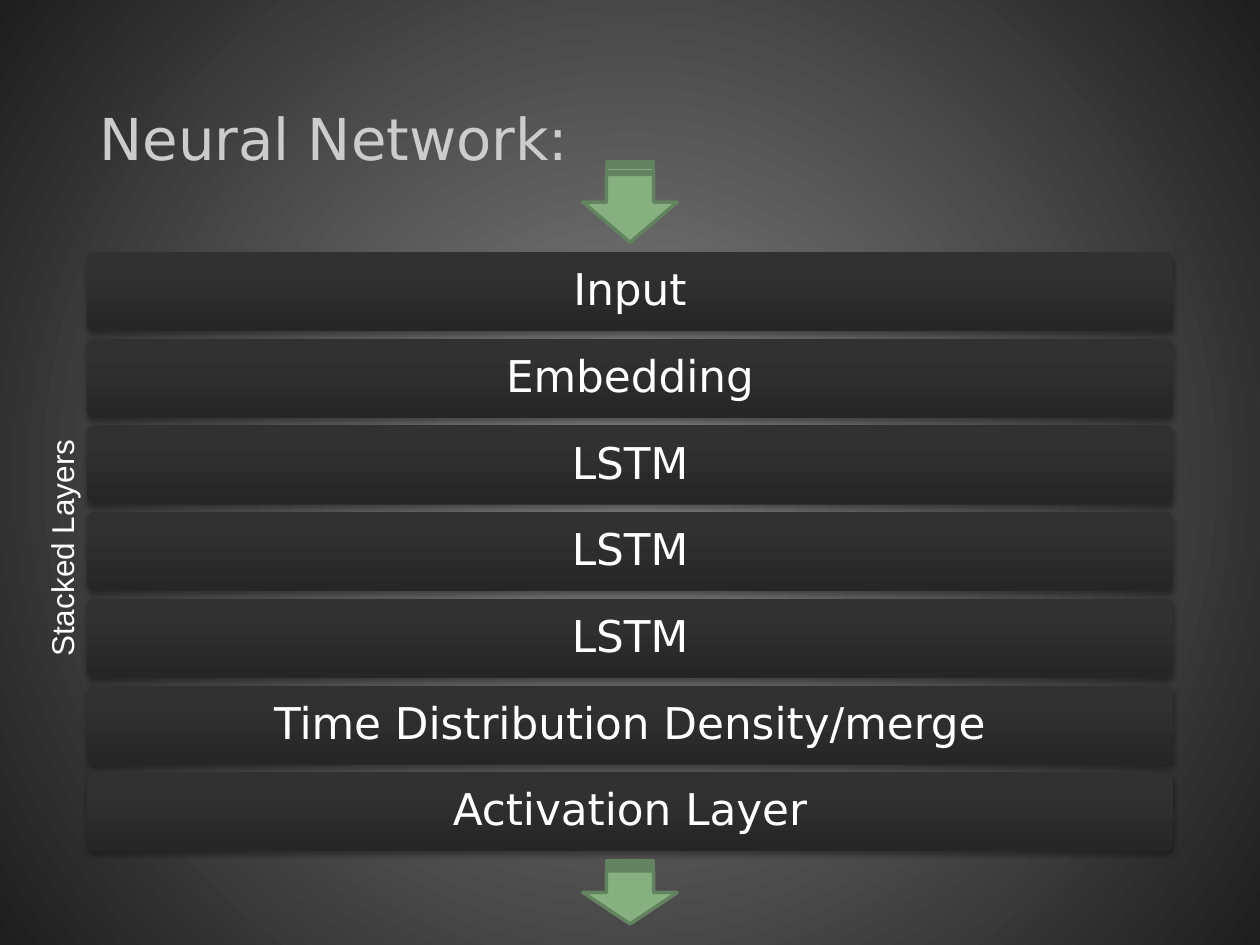
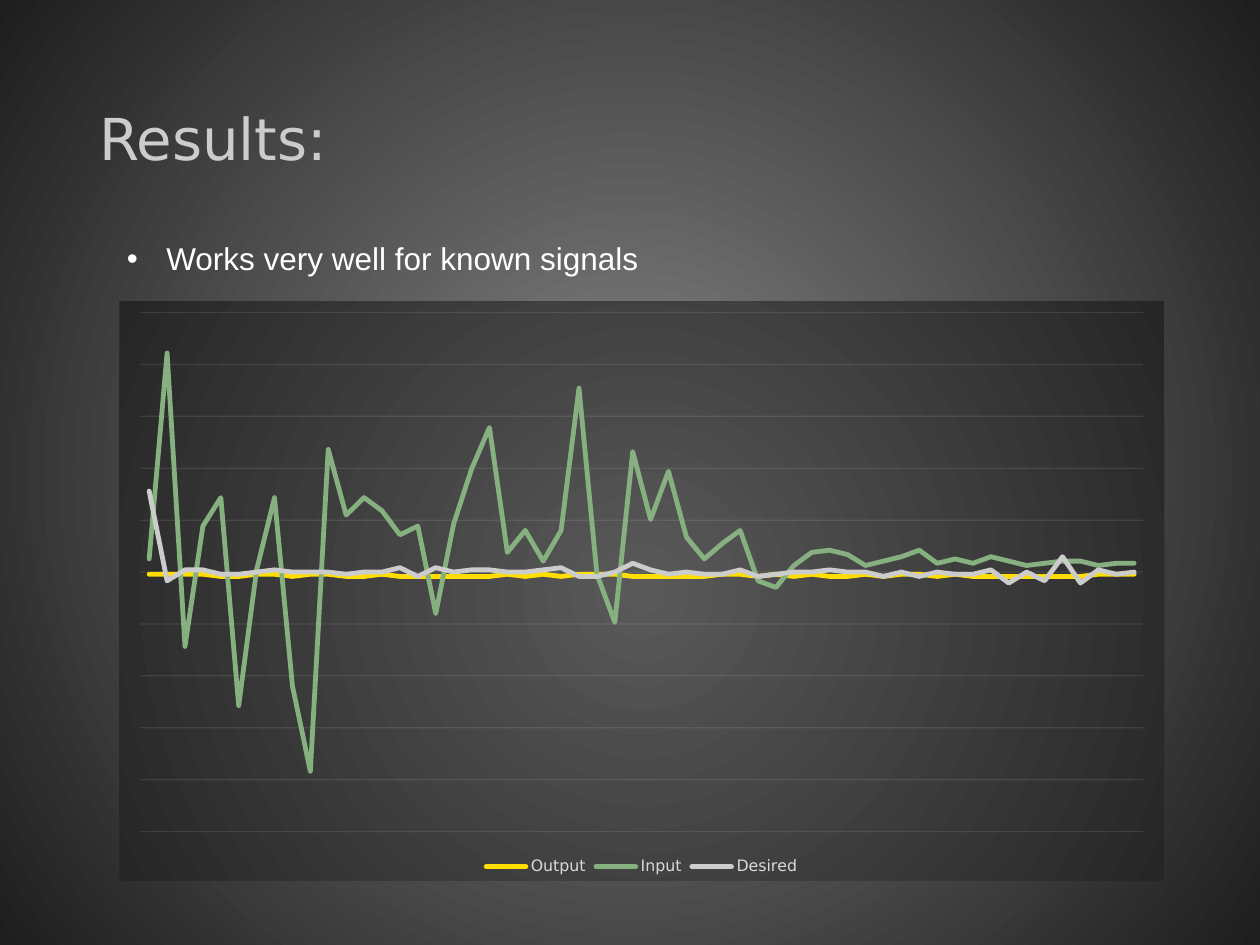
from lxml import etree
from pptx import Presentation
from pptx.chart.data import CategoryChartData
from pptx.dml.color import RGBColor
from pptx.enum.chart import XL_CHART_TYPE, XL_LEGEND_POSITION
from pptx.enum.shapes import MSO_SHAPE
from pptx.enum.text import MSO_ANCHOR, MSO_AUTO_SIZE, PP_ALIGN
from pptx.oxml import parse_xml
from pptx.oxml.ns import qn
from pptx.util import Pt

LINE_CHART = XL_CHART_TYPE.LINE
LEGEND_BOTTOM = XL_LEGEND_POSITION.BOTTOM
ROUNDED = MSO_SHAPE.ROUNDED_RECTANGLE
STRIPED_ARROW = MSO_SHAPE.STRIPED_RIGHT_ARROW
MIDDLE = MSO_ANCHOR.MIDDLE
TOP = MSO_ANCHOR.TOP
FIT_SHAPE = MSO_AUTO_SIZE.SHAPE_TO_FIT_TEXT
LEFT, CENTER = PP_ALIGN.LEFT, PP_ALIGN.CENTER

COLORS = {
    "white": "FFFFFF", "title": "CCCCCC", "legend": "D9D9D9", "grid": "F2F2F2",
    "green": "86B080", "green edge": "63825F", "yellow": "FFDE00",
    "page center": "848484", "page edge": "1E1E1E",
    "bar bottom": "262626", "bar middle": "313131", "bar top": "323232",
    "chart center": "595959", "chart edge": "262626",
}
HEADING_FONT, BODY_FONT = "DejaVu Sans", "Arial"
DRAWING = "http://schemas.openxmlformats.org/drawingml/2006/main"
CHART = "http://schemas.openxmlformats.org/drawingml/2006/chart"
RADIAL = ('<a:path path="circle"><a:fillToRect l="50000" t="50000" '
          'r="50000" b="50000"/></a:path>')
UPWARD = '<a:lin ang="16200000" scaled="0"/>'

# Slide content
LAYERS = ["Input", "Embedding", "LSTM", "LSTM", "LSTM",
          "Time Distribution Density/merge", "Activation Layer"]
SIGNALS = [
    ("Output", "yellow",
     [-1, -1, -1, -1, -2, -2, -1, -1, -2, -1, -1, -2, -2, -1, -2, -2, -2, -2, -2,
      -2, -1, -2, -1, -2, -1, -1, -1, -2, -2, -2, -2, -2, -1, -1, -2, -1, -2, -1,
      -2, -2, -1, -2, -1, -1, -2, -1, -2, -2, -2, -2, -2, -2, -2, -1, -1, -1]),
    ("Input", "green",
     [6, 100, -34, 21, 34, -61, 1, 34, -52, -91, 56, 26, 34, 28, 17, 21, -19, 22,
      47, 66, 9, 19, 5, 19, 84, -1, -23, 55, 24, 46, 16, 6, 13, 19, -4, -7, 3, 9,
      10, 8, 3, 5, 7, 10, 4, 6, 4, 7, 5, 3, 4, 5, 5, 3, 4, 4]),
    ("Desired", "title",
     [37, -4, 1, 1, -1, -1, 0, 1, 0, 0, 0, -1, 0, 0, 2, -2, 2, 0, 1, 1, 0, 0, 1,
      2, -2, -2, 0, 4, 1, -1, 0, -1, -1, 1, -2, -1, 0, 0, 1, 0, 0, -2, 0, -2, 0,
      -1, -1, 1, -5, 0, -4, 7, -5, 1, -1, 0]),
]


def color(name):
    return RGBColor.from_string(COLORS[name])


def gradient(stops, direction):
    """Return a gradient fill; stops are (percent, color name) pairs."""
    marks = "".join(f'<a:gs pos="{percent * 1000}"><a:srgbClr val="{COLORS[name]}"/></a:gs>'
                    for percent, name in stops)
    return parse_xml(f'<a:gradFill xmlns:a="{DRAWING}" rotWithShape="1">'
                     f'<a:gsLst>{marks}</a:gsLst>{direction}</a:gradFill>')


def write_text(frame, text, size=18, font=BODY_FONT, tint="white", align=LEFT,
               anchor=TOP, spacing=None, wrap=True, bullet=None):
    """Write one paragraph; bullet is (symbol, margin, hanging) in points."""
    frame.word_wrap = wrap
    frame.vertical_anchor = anchor
    para = frame.paragraphs[0]
    para.alignment = align
    if spacing:
        para.line_spacing = spacing
    span = para.add_run()
    span.text = text
    span.font.size, span.font.name = Pt(size), font
    span.font.color.rgb = color(tint)
    if bullet:
        symbol, margin, hanging = bullet
        para.level = 1
        properties = para._p.get_or_add_pPr()
        properties.set("marL", str(Pt(margin)))
        properties.set("indent", str(-Pt(hanging)))
        etree.SubElement(properties, qn("a:buFont")).set("typeface", BODY_FONT)
        etree.SubElement(properties, qn("a:buChar")).set("char", symbol)


class SlideWriter:
    """Holds the shared style and the page being filled."""

    def __init__(self):
        self.deck = Presentation()
        self.deck.slide_width, self.deck.slide_height = Pt(720), Pt(540)
        self.page = None
        # Radial background shared by all pages
        master = self.deck.slide_master
        master.background.fill.solid()
        solid = master.element.find(".//" + qn("p:bgPr")).find(qn("a:solidFill"))
        solid.getparent().replace(
            solid, gradient([(0, "page center"), (100, "page edge")], RADIAL))

    def start_page(self, title):
        self.page = self.deck.slides.add_slide(self.deck.slide_layouts[6])
        self.text(title, 49.7, 28.8, 620.6, 104.4, size=33, font=HEADING_FONT,
                  tint="title", anchor=MIDDLE, spacing=0.9)

    def text(self, text, left, top, width, height, rotation=0, grow=False, **style):
        box = self.page.shapes.add_textbox(Pt(left), Pt(top), Pt(width), Pt(height))
        box.rotation = rotation
        write_text(box.text_frame, text, **style)
        if grow:
            box.text_frame.auto_size = FIT_SHAPE

    def shape(self, kind, left, top, width, height):
        shape = self.page.shapes.add_shape(kind, Pt(left), Pt(top), Pt(width), Pt(height))
        shape.shadow.inherit = False
        return shape

    def bar(self, text, left, top, width, height):
        bar = self.shape(ROUNDED, left, top, width, height)
        bar.adjustments[0] = 0.1
        bar.fill.background()
        bar.line.fill.background()
        properties = bar.element.spPr
        properties.replace(
            properties.find(qn("a:noFill")),
            gradient([(0, "bar bottom"), (80, "bar middle"), (100, "bar top")], UPWARD))
        properties.find(qn("a:effectLst")).append(parse_xml(
            f'<a:outerShdw xmlns:a="{DRAWING}" blurRad="{Pt(3.1)}" dist="{Pt(1.8)}" '
            'dir="5400000" rotWithShape="0"><a:srgbClr val="000000">'
            '<a:alpha val="35000"/></a:srgbClr></a:outerShdw>'))
        write_text(bar.text_frame, text, size=25, font=HEADING_FONT, align=CENTER,
                   anchor=MIDDLE, spacing=0.9)

    def down_arrow(self, middle_x, middle_y, length, breadth):
        arrow = self.shape(STRIPED_ARROW, middle_x - length / 2, middle_y - breadth / 2,
                           length, breadth)
        arrow.rotation = 90
        arrow.fill.solid()
        arrow.fill.fore_color.rgb = color("green")
        arrow.line.color.rgb = color("green edge")
        arrow.line.width = Pt(2)

    def line_chart(self, signals, left, top, width, height, limit, step):
        data = CategoryChartData()
        data.categories = [str(number + 1) for number in range(len(signals[0][2]))]
        for name, _, values in signals:
            data.add_series(name, values)
        chart = self.page.shapes.add_chart(
            LINE_CHART, Pt(left), Pt(top), Pt(width), Pt(height), data).chart
        chart.has_title = False
        chart.font.size, chart.font.name = Pt(10), HEADING_FONT
        chart.font.color.rgb = color("white")

        # Lines
        chart.plots[0].vary_by_categories = False
        for series, (_, tint, _) in zip(chart.plots[0].series, signals):
            series.smooth = False
            series.format.line.color.rgb = color(tint)
            series.format.line.width = Pt(2.75)
        for line in chart.element.iterfind(f".//{qn('c:ser')}/{qn('c:spPr')}/{qn('a:ln')}"):
            line.set("cap", "rnd")

        # Hidden axes with faint gridlines
        chart.category_axis.visible = False
        axis = chart.value_axis
        axis.visible = False
        axis.minimum_scale, axis.maximum_scale, axis.major_unit = -limit, limit, step
        axis.has_major_gridlines = True
        grid = axis.major_gridlines.format.line
        grid.color.rgb, grid.width = color("grid"), Pt(0.75)
        tint = chart.element.find(f".//{qn('c:majorGridlines')}//{qn('a:srgbClr')}")
        etree.SubElement(tint, qn("a:alpha")).set("val", "10000")

        # Legend
        chart.has_legend = True
        legend = chart.legend
        legend.position, legend.include_in_layout = LEGEND_BOTTOM, False
        legend.font.size, legend.font.name = Pt(9), HEADING_FONT
        legend.font.color.rgb = color("legend")

        # Plot placement and radial fill
        plot_area = chart.element.find(".//" + qn("c:plotArea"))
        for layout in plot_area.findall(qn("c:layout")):
            plot_area.remove(layout)
        places = "".join(f'<c:{key} val="{value}"/>' for key, value in (
            ("layoutTarget", "inner"), ("xMode", "edge"), ("yMode", "edge"),
            ("x", 0.02), ("y", 0.02), ("w", 0.96), ("h", 0.895)))
        plot_area.insert(0, parse_xml(
            f'<c:layout xmlns:c="{CHART}"><c:manualLayout>{places}'
            '</c:manualLayout></c:layout>'))
        frame = parse_xml(f'<c:spPr xmlns:c="{CHART}" xmlns:a="{DRAWING}">'
                          '<a:ln><a:noFill/></a:ln></c:spPr>')
        frame.insert(0, gradient([(0, "chart center"), (100, "chart edge")], RADIAL))
        chart.element.find(qn("c:chart")).addnext(frame)


def main():
    writer = SlideWriter()

    # Network layers, stacked between two arrows
    writer.start_page("Neural Network:")
    for row, layer in enumerate(LAYERS):
        writer.bar(layer, 49.7, 144 + 49.55 * row, 620.6, 45.2)
    for middle_y, length in ((115.5, 46), (510, 36)):
        writer.down_arrow(360, middle_y, length, 54)
    writer.text("Stacked Layers", -34.5, 298, 139.7, 29, rotation=270, grow=True, wrap=False)

    # Results chart
    writer.start_page("Results:")
    writer.line_chart(SIGNALS, 68.2, 172, 597, 331.4, limit=118.5, step=23.7)
    writer.text("Works very well for known signals", 29.5, 133.2, 360, 29, grow=True,
                bullet=("•", 58.5, 22.5))

    writer.deck.save("out.pptx")


if __name__ == "__main__":
    main()
